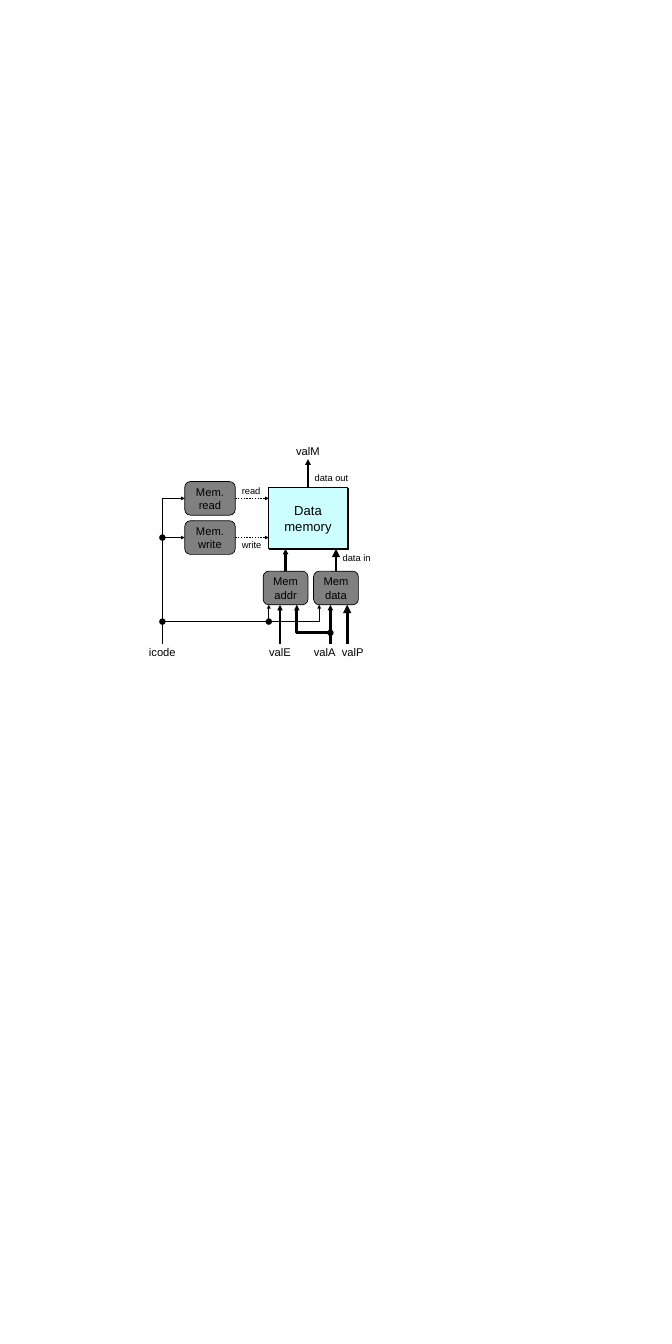
import pptx
import pptx.util
import pptx.dml.color
import pptx.enum.dml
import pptx.enum.shapes
import pptx.enum.text
import pptx.oxml.ns
from lxml import etree

Pt = pptx.util.Pt
KIND = pptx.enum.shapes.MSO_SHAPE
BLACK, GRAY, CYAN = "000000", "808080", "CCFFFF"

presentation = pptx.Presentation()
presentation.slide_width = pptx.util.Inches(10)
presentation.slide_height = pptx.util.Inches(20)
slide = presentation.slides.add_slide(presentation.slide_layouts[6])
shapes = slide.shapes
CELL = presentation.slide_width // 120  # grid of 120 columns by 240 rows


def paint(shape, fill=None, weight=None):
    """Set a flat fill and a black outline; None leaves either one out."""
    shape.shadow.inherit = False
    if fill:
        shape.fill.solid()
        shape.fill.fore_color.rgb = pptx.dml.color.RGBColor.from_string(fill)
    else:
        shape.fill.background()
    if weight:
        shape.line.width = Pt(weight)
        shape.line.color.rgb = pptx.dml.color.RGBColor.from_string(BLACK)
    else:
        shape.line.fill.background()


def add_arrowhead(wire, size):
    outline = wire.line._get_or_add_ln()
    etree.SubElement(outline, pptx.oxml.ns.qn("a:tailEnd"), type="triangle", w=size, len=size)


# Hardware blocks and signal names: kind, lines, column, row, width, height, fill, size
blocks = [
    (KIND.RECTANGLE, ["Data", "memory"], 48, 87, 14, 11, CYAN, 14),
    (KIND.ROUNDED_RECTANGLE, ["Mem.", "read"], 33, 86, 9, 6, GRAY, 12),
    (KIND.ROUNDED_RECTANGLE, ["Mem.", "write"], 33, 93, 9, 6, GRAY, 12),
    (KIND.ROUNDED_RECTANGLE, ["Mem", "addr"], 47, 102, 8, 6, GRAY, 12),
    (KIND.ROUNDED_RECTANGLE, ["Mem", "data"], 56, 102, 8, 6, GRAY, 12),
]
for signal, column, row in [("icode", 26, 114), ("valE", 47, 114), ("valA", 55, 114),
                            ("valP", 60, 114), ("valM", 52, 78)]:
    blocks.append((KIND.OVAL, [signal], column, row, 6, 5, None, 12))

placed = []
for kind, lines, column, row, width, height, fill, size in blocks:
    block = shapes.add_shape(kind, column * CELL, row * CELL, width * CELL, height * CELL)
    paint(block, fill, 0.75 if fill else None)
    frame = block.text_frame
    frame.word_wrap = False
    frame.vertical_anchor = pptx.enum.text.MSO_ANCHOR.MIDDLE
    frame.text = "\n".join(lines)
    for paragraph in frame.paragraphs:
        paragraph.alignment = pptx.enum.text.PP_ALIGN.CENTER
        paragraph.font.name = "Arial"
        paragraph.font.size = Pt(size)
        paragraph.font.color.rgb = pptx.dml.color.RGBColor.from_string(BLACK)
    placed.append(block)
memory, mem_read, mem_write, mem_addr, mem_data = placed[:5]

# Hard drop shadow under the data memory
effects = memory._element.spPr.find(pptx.oxml.ns.qn("a:effectLst"))
shadow = etree.SubElement(effects, pptx.oxml.ns.qn("a:outerShdw"),
                          dist=str(Pt(1.4)), dir="2700000", algn="ctr", rotWithShape="0")
etree.SubElement(shadow, pptx.oxml.ns.qn("a:srgbClr"), val=BLACK)

# Straight wires: from, to, weight, head size, (block, site) at the start and at the end
wires = [
    ((55, 87), (55, 82), 3, "sm", (memory, 0), None),
    ((51, 102), (51, 98), 3, "sm", (mem_addr, 0), None),
    ((60, 102), (60, 98), 3, "med", (mem_data, 0), None),
    ((50, 115), (50, 108), 3, "sm", None, None),
    ((59, 115), (59, 108), 3, "sm", None, None),
    ((62, 115), (62, 108), 3, "med", None, None),
    ((42, 89), (48, 89), 1.5, "sm", (mem_read, 3), None),
    ((42, 96), (48, 96), 1.5, "sm", (mem_write, 3), None),
    ((29, 96), (33, 96), 1, "sm", None, (mem_write, 1)),
    ((48, 111), (48, 108), 1, "sm", None, None),
]
for (x1, y1), (x2, y2), weight, head, source, target in wires:
    wire = shapes.add_connector(pptx.enum.shapes.MSO_CONNECTOR.STRAIGHT,
                                x1 * CELL, y1 * CELL, x2 * CELL, y2 * CELL)
    if source:
        wire.begin_connect(*source)
    if target:
        wire.end_connect(*target)
    wire.line.width = Pt(weight)
    wire.line.color.rgb = pptx.dml.color.RGBColor.from_string(BLACK)
    if weight == 1.5:  # control signals
        wire.line.dash_style = pptx.enum.dml.MSO_LINE.ROUND_DOT
    add_arrowhead(wire, head)
    etree.SubElement(wire._element.spPr, pptx.oxml.ns.qn("a:effectLst"))

# Bent wires
for start, bend, end, weight in [
    ((59, 113), (53, 113), (53, 108), 3),
    ((29, 111), (57, 111), (57, 108), 1),
    ((29, 115), (29, 89), (33, 89), 1),
]:
    builder = shapes.build_freeform(*start, scale=CELL)
    builder.add_line_segments([bend, end], close=False)
    bent_wire = builder.convert_to_shape()
    paint(bent_wire, None, weight)
    add_arrowhead(bent_wire, "sm")

# Junction dots, centred on grid points
for column, row in [(59, 113), (48, 111), (29, 96), (29, 111)]:
    junction = shapes.add_shape(KIND.OVAL, int((column - 0.5) * CELL),
                                int((row - 0.5) * CELL), CELL, CELL)
    paint(junction, BLACK, 0.75)

# Port captions
for caption, column, row, width in [("read", 42, 86, 8), ("write", 42, 95.75, 7),
                                    ("data out", 55, 83.75, 10), ("data in", 60, 98, 10)]:
    box = shapes.add_textbox(column * CELL, int(row * CELL), width * CELL, int(3.25 * CELL))
    box.text_frame.word_wrap = True
    box.text_frame.text = caption
    font = box.text_frame.paragraphs[0].font
    font.name = "Arial"
    font.size = Pt(10)
    font.color.rgb = pptx.dml.color.RGBColor.from_string(BLACK)

presentation.save("out.pptx")
